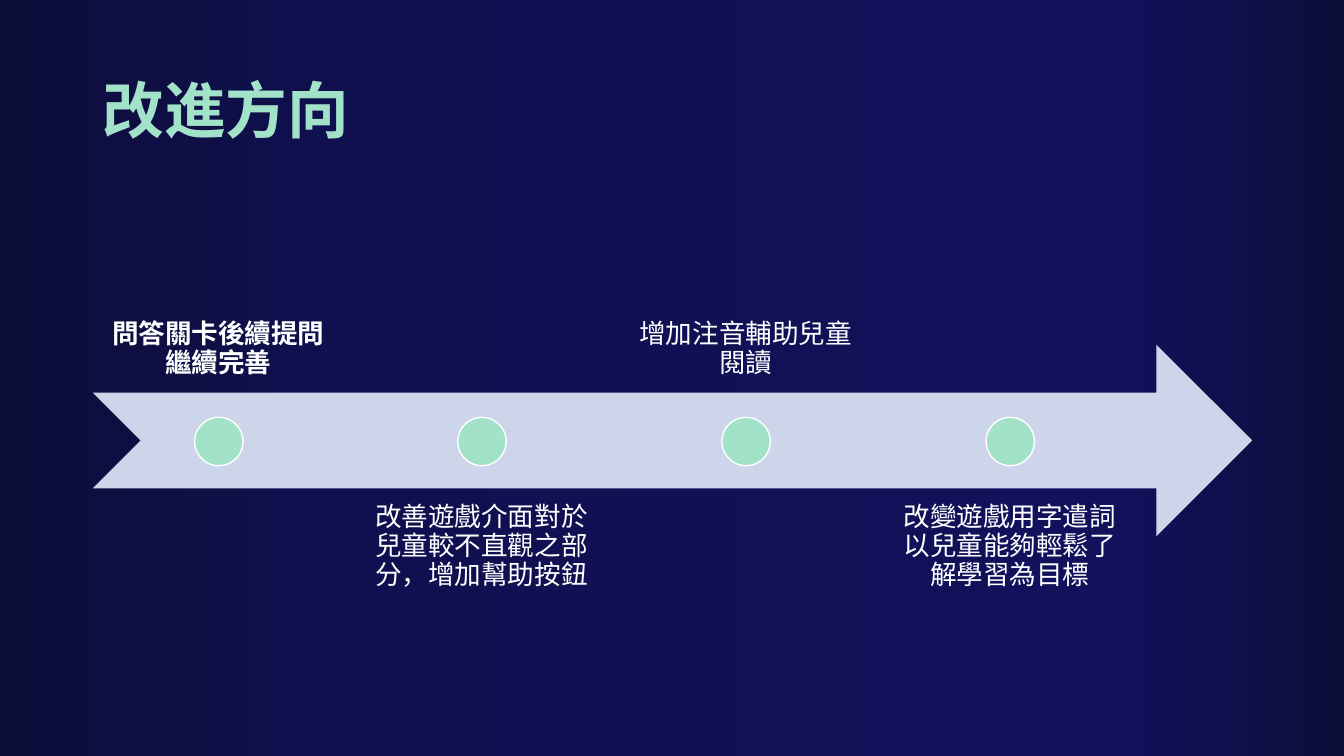
from lxml.etree import SubElement
from pptx import Presentation
from pptx.dml.color import RGBColor
from pptx.enum.shapes import MSO_SHAPE
from pptx.enum.text import MSO_ANCHOR, PP_ALIGN
from pptx.oxml.ns import qn
from pptx.util import Pt

PX = 9144  # 100 px to the inch
FONT = "Noto Sans CJK JP"
HEX = {"mint": "A1E2C8", "band": "CCD5EA", "white": "FFFFFF"}
STOPS = [(0, "0D0D39"), (27, "101051"), (83, "11115C"), (100, "0D0D3A")]
STEPS = [
    "問答關卡後續提問繼續完善",
    "改善遊戲介面對於兒童較不直觀之部分，增加幫助按鈕",
    "增加注音輔助兒童閱讀",
    "改變遊戲用字遣詞以兒童能夠輕鬆了解學習為目標",
]


class Page:
    def __init__(self, deck):
        self.slide = deck.slides.add_slide(deck.slide_layouts[6])

    def color(self, name):
        return RGBColor.from_string(HEX[name])

    def back(self, stops):
        """Fill the background with a left-to-right gradient."""
        fill = self.slide.background.fill
        fill.gradient()
        fill.gradient_angle = 0
        ramp = next(self.slide.element.iter(qn("a:gsLst")))
        ramp.clear()
        for pct, tone in stops:
            stop = SubElement(ramp, qn("a:gs"), pos=str(pct * 1000))
            SubElement(stop, qn("a:srgbClr"), val=tone)

    def shape(self, kind, box, fill, line=None):
        item = self.slide.shapes.add_shape(kind, *[n * PX for n in box])
        item.shadow.inherit = False
        item.fill.solid()
        item.fill.fore_color.rgb = self.color(fill)
        if line:
            item.line.color.rgb = self.color(line)
            item.line.width = Pt(1)
        else:
            item.line.fill.background()

    def text(self, words, box, size, color, bold, anchor, align, pad):
        item = self.slide.shapes.add_textbox(*[n * PX for n in box])
        frame = item.text_frame
        frame.word_wrap = True
        frame.vertical_anchor = anchor
        frame.margin_left = frame.margin_right = pad[0] * PX
        frame.margin_top = frame.margin_bottom = pad[1] * PX
        para = frame.paragraphs[0]
        para.text = words
        para.alignment = align
        para.line_spacing = 0.9
        font = para.font
        font.size, font.bold, font.name = Pt(size), bold, FONT
        font.color.rgb = self.color(color)
        # East Asian glyphs take their face from a:ea
        style = next(para._p.iter(qn("a:defRPr")))
        SubElement(style, qn("a:ea"), typeface=FONT)


def main():
    deck = Presentation()
    deck.slide_width, deck.slide_height = 1333 * PX, 750 * PX
    page = Page(deck)
    page.back(STOPS)
    page.text("改進方向", (92, 40, 1150, 145), 44, "mint", True,
              MSO_ANCHOR.MIDDLE, PP_ALIGN.LEFT, (10, 5))
    page.shape(MSO_SHAPE.NOTCHED_RIGHT_ARROW, (92, 342, 1150, 190), "band")

    wide, dot = 249, 48
    for i, step in enumerate(STEPS):
        left = 92 + i * 785 // 3
        below = i % 2 == 1
        top, anchor = (485, MSO_ANCHOR.TOP) if below else (200, MSO_ANCHOR.BOTTOM)
        page.text(step, (left, top, wide, 190), 19, "white", i == 0,
                  anchor, PP_ALIGN.CENTER, (15, 15))
        page.shape(MSO_SHAPE.OVAL, (left + (wide - dot) // 2 + 1, 414, dot, dot),
                   "mint", "white")
    deck.save("out.pptx")


if __name__ == "__main__":
    main()
